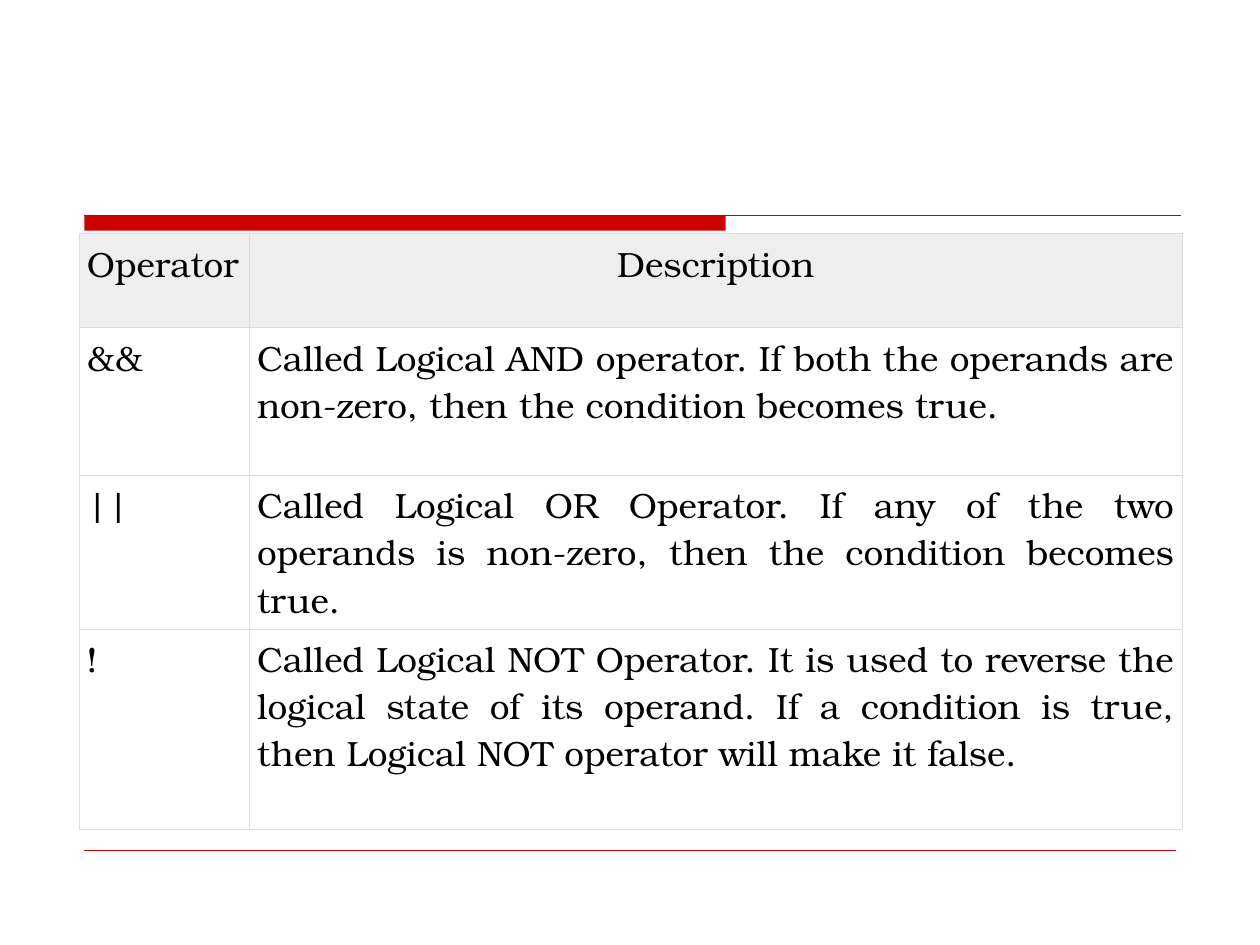
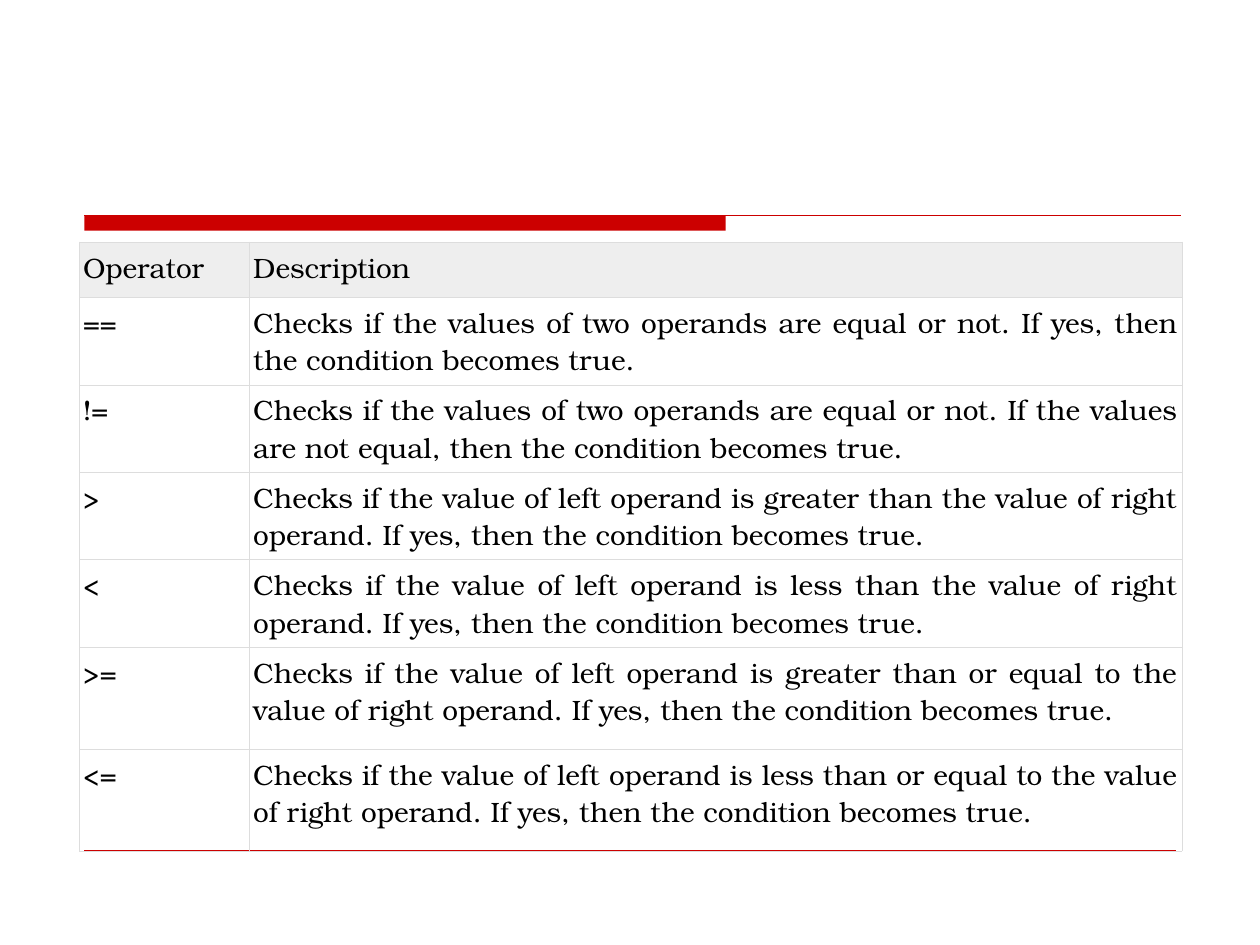
from lxml import etree
from pptx import Presentation
from pptx import util as u
from pptx.dml.color import RGBColor
from pptx.enum import shapes, text
from pptx.oxml import ns

COLORS = {"accent": "CC0000", "header": "EEEEEE", "border": "DDDDDD", "text": "000000"}
FONT = "TeX Gyre Bonum"
LEFT, COLUMNS = 0.63, (1.35, 7.4)
JUSTIFY, CENTER = text.PP_ALIGN.JUSTIFY, text.PP_ALIGN.CENTER

LOGICAL = [
    ("Operator", "Description"),
    ("&&", "Called Logical AND operator. If both the operands are non-zero, "
           "then the condition becomes true."),
    ("||", "Called Logical OR Operator. If any of the two operands is non-zero, "
           "then the condition becomes true."),
    ("!", "Called Logical NOT Operator. It is used to reverse the logical state of its operand. "
          "If a condition is true, then Logical NOT operator will make it false."),
]

RELATIONAL = [
    ("Operator", "Description"),
    ("==", "Checks if the values of two operands are equal or not. "
           "If yes, then the condition becomes true."),
    ("!=", "Checks if the values of two operands are equal or not. "
           "If the values are not equal, then the condition becomes true."),
] + [
    (sign, f"Checks if the value of left operand is {relation} the value of right operand. "
           "If yes, then the condition becomes true.")
    for sign, relation in [
        (">", "greater than"),
        ("<", "less than"),
        (">=", "greater than or equal to"),
        ("<=", "less than or equal to"),
    ]
]


def color(name):
    return RGBColor.from_string(COLORS[name])


def apply(obj, values):
    for name, value in values.items():
        setattr(obj, name, value)


class Deck:
    def __init__(self):
        self.prs = Presentation()
        apply(self.prs, {"slide_width": u.Inches(10), "slide_height": u.Inches(7.5)})
        self.s = None

    def slide(self):
        self.s = self.prs.slides.add_slide(self.prs.slide_layouts[6])
        self.bar(0.67, 1.71, 5.09, 0.12)
        self.line(0.67, 9.37, 1.71, 0.75)
        self.line(0.67, 9.33, 6.75, 0.25)

    def bar(self, x, y, w, h):
        sp = self.s.shapes.add_shape(shapes.MSO_SHAPE.RECTANGLE, *map(u.Inches, (x, y, w, h)))
        sp.shadow.inherit = False
        sp.fill.solid()
        sp.fill.fore_color.rgb = color("accent")
        sp.line.fill.background()

    def line(self, x1, x2, y, width):
        ln = self.s.shapes.add_connector(
            shapes.MSO_CONNECTOR.STRAIGHT, *map(u.Inches, (x1, y, x2, y)))
        ln.line.color.rgb = color("accent")
        ln.line.width = u.Pt(width)
        etree.SubElement(ln._element.spPr, ns.qn("a:effectLst"))

    def borders(self, cell):
        tc_pr = cell._tc.get_or_add_tcPr()
        for side in ("lnL", "lnR", "lnT", "lnB"):
            ln = etree.SubElement(tc_pr, ns.qn(f"a:{side}"), w=str(u.Pt(0.34)))
            fill = etree.SubElement(ln, ns.qn("a:solidFill"))
            etree.SubElement(fill, ns.qn("a:srgbClr"), val=COLORS["border"])

    def cell(self, cell, words, size, inset, align, header):
        side, edge = u.Inches(inset), u.Inches(0.05)
        apply(cell, {"margin_left": side, "margin_right": side,
                     "margin_top": edge, "margin_bottom": edge,
                     "vertical_anchor": text.MSO_ANCHOR.TOP})
        self.borders(cell)
        if header:
            cell.fill.solid()
            cell.fill.fore_color.rgb = color("header")
        else:
            cell.fill.background()
        p = cell.text_frame.paragraphs[0]
        p.alignment = align
        r = p.add_run()
        r.text = words
        apply(r.font, {"name": FONT, "size": u.Pt(size), "bold": False})
        r.font.color.rgb = color("text")

    def table(self, rows, top, heights, size, inset, heading_align=JUSTIFY):
        box = map(u.Inches, (LEFT, top, sum(COLUMNS), sum(heights)))
        tbl = self.s.shapes.add_table(len(rows), len(COLUMNS), *box).table
        apply(tbl, {"first_row": False, "horz_banding": False})
        for column, width in zip(tbl.columns, COLUMNS):
            column.width = u.Inches(width)
        for i, (row, height) in enumerate(zip(rows, heights)):
            tbl.rows[i].height = u.Inches(height)
            for j, words in enumerate(row):
                align = heading_align if (i, j) == (0, 1) else JUSTIFY
                self.cell(tbl.cell(i, j), words, size, inset, align, i == 0)


def main():
    deck = Deck()
    deck.slide()
    deck.table(LOGICAL, 1.85, (0.75, 1.17, 1.17, 1.59), 20, 0.06, CENTER)
    deck.slide()
    deck.table(RELATIONAL, 1.92, (0.44, 0.6, 0.68, 0.68, 0.68, 0.81, 0.81), 16, 0.03)
    deck.prs.save("out.pptx")


if __name__ == "__main__":
    main()
